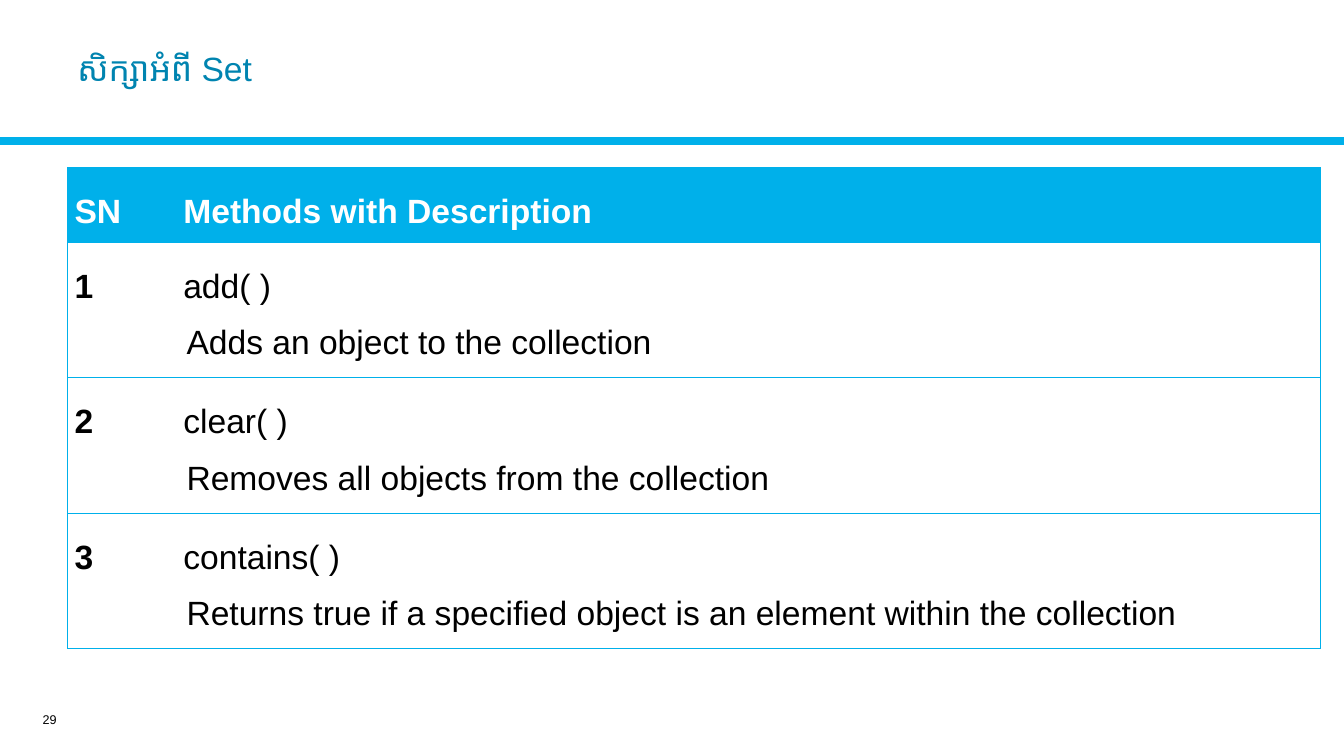
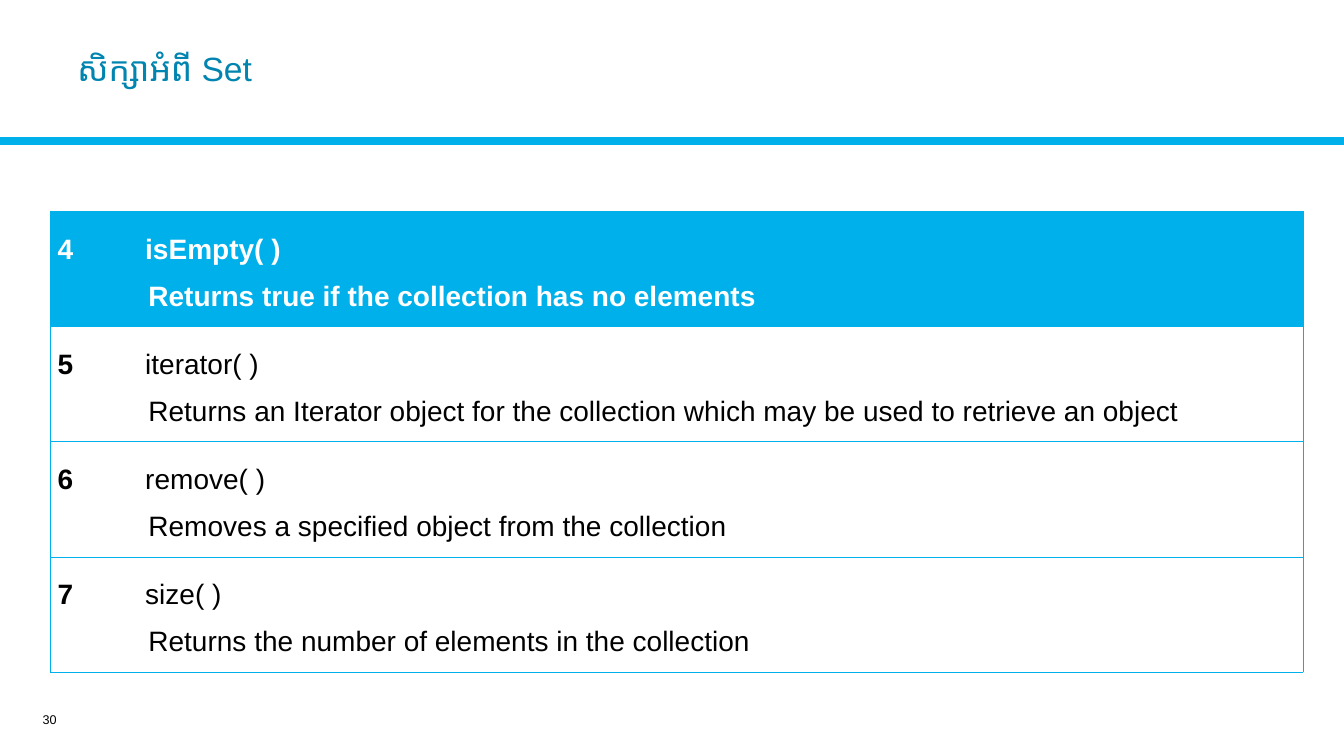
from lxml.etree import SubElement
from pptx import Presentation
from pptx.dml.color import RGBColor
from pptx.enum.shapes import MSO_CONNECTOR
from pptx.enum.text import MSO_ANCHOR, PP_ALIGN
from pptx.oxml.ns import qn
from pptx.util import Cm, Pt

INK = {"band": "00B0EA", "title": "0084B0", "text": "000000", "paper": "FFFFFF"}
FONT = "Arial"
WIDTH, HEIGHT = 33.87, 19.05
TITLE = "សិក្សាអំពី Set"
FIRST = 29
PAD = Cm(0.18)

# Each row holds a number and the lines of its description; the first row is the header.
PAGES = [
    {"left": 1.7, "top": 4.22, "cols": (2.74, 28.83), "size": 24, "line": 1.41,
     "rows": [
         ("SN", ["Methods with Description"]),
         ("1", ["add( )", "Adds an object to the collection"]),
         ("2", ["clear( )", "Removes all objects from the collection"]),
         ("3", ["contains( )",
                "Returns true if a specified object is an element within the collection"]),
     ]},
    {"left": 1.27, "top": 5.33, "cols": (2.21, 29.36), "size": 20, "line": 1.18,
     "rows": [
         ("4", ["isEmpty( )", "Returns true if the collection has no elements"]),
         ("5", ["iterator( )",
                "Returns an Iterator object for the collection which may be used to retrieve an object"]),
         ("6", ["remove( )", "Removes a specified object from the collection"]),
         ("7", ["size( )", "Returns the number of elements in the collection"]),
     ]},
]


def color(name):
    return RGBColor.from_string(INK[name])


def write(para, text, size, ink="text", bold=False, align=PP_ALIGN.LEFT, space=1.0):
    para.alignment = align
    para.line_spacing = space
    run = para.add_run()
    run.text = text
    font = run.font
    font.name, font.size, font.bold = FONT, Pt(size), bold
    font.color.rgb = color(ink)
    SubElement(font._element, qn("a:cs"), typeface=FONT)


def add_label(slide, box, text, size, **style):
    frame = slide.shapes.add_textbox(*map(Cm, box)).text_frame
    frame.word_wrap = True
    frame.vertical_anchor = MSO_ANCHOR.MIDDLE
    write(frame.paragraphs[0], text, size, **style)


def add_frame(slide, number):
    """Draw the title, band and page number that all slides share."""
    y = Cm(3.56)
    band = slide.shapes.add_connector(MSO_CONNECTOR.STRAIGHT, 0, y, Cm(WIDTH), y)
    band.line.color.rgb = color("band")
    band.line.width = Pt(6)
    SubElement(band._element.spPr, qn("a:effectLst"))
    add_label(slide, (1.7, 0.36, 30.53, 2.82), TITLE, 24, ink="title", space=0.9)
    add_label(slide, (0.23, 17.75, 1.45, 0.76), str(number), 9, align=PP_ALIGN.RIGHT)


def set_edges(cell, shown):
    props = cell._tc.get_or_add_tcPr()
    for side in "LRTB":
        edge = SubElement(props, qn(f"a:ln{side}"), w=str(Pt(0.5)))
        if side in shown:
            fill = SubElement(edge, qn("a:solidFill"))
            SubElement(fill, qn("a:srgbClr"), val=INK["band"])
        else:
            SubElement(edge, qn("a:noFill"))


def fill_cell(cell, lines, size, head, bold, edges):
    cell.margin_left = cell.margin_right = cell.margin_top = cell.margin_bottom = PAD
    set_edges(cell, edges)
    cell.fill.solid()
    cell.fill.fore_color.rgb = color("band" if head else "paper")
    frame = cell.text_frame
    for i, line in enumerate(lines):
        para = frame.add_paragraph() if i else frame.paragraphs[0]
        if i:
            para._p.get_or_add_pPr().set("marL", str(Cm(0.08)))
        write(para, line, size, ink="paper" if head else "text", bold=bold,
              align=PP_ALIGN.JUSTIFY if i else PP_ALIGN.LEFT, space=1.5)


def add_methods(slide, left, top, cols, size, line, rows):
    highs = [Cm(line * len(lines)) + 2 * PAD for _, lines in rows]
    table = slide.shapes.add_table(len(rows), len(cols), Cm(left), Cm(top),
                                   Cm(sum(cols)), sum(highs)).table
    for col, width in zip(table.columns, cols):
        col.width = Cm(width)
    for r, (number, lines) in enumerate(rows):
        table.rows[r].height = highs[r]
        head = r == 0
        fill_cell(table.cell(r, 0), [number], size, head, True, "LTB")
        fill_cell(table.cell(r, 1), lines, size, head, head, "RTB")


def main():
    deck = Presentation()
    deck.slide_width, deck.slide_height = Cm(WIDTH), Cm(HEIGHT)
    for number, page in enumerate(PAGES, FIRST):
        slide = deck.slides.add_slide(deck.slide_layouts[6])
        add_frame(slide, number)
        add_methods(slide, **page)
    deck.save("out.pptx")


if __name__ == "__main__":
    main()
